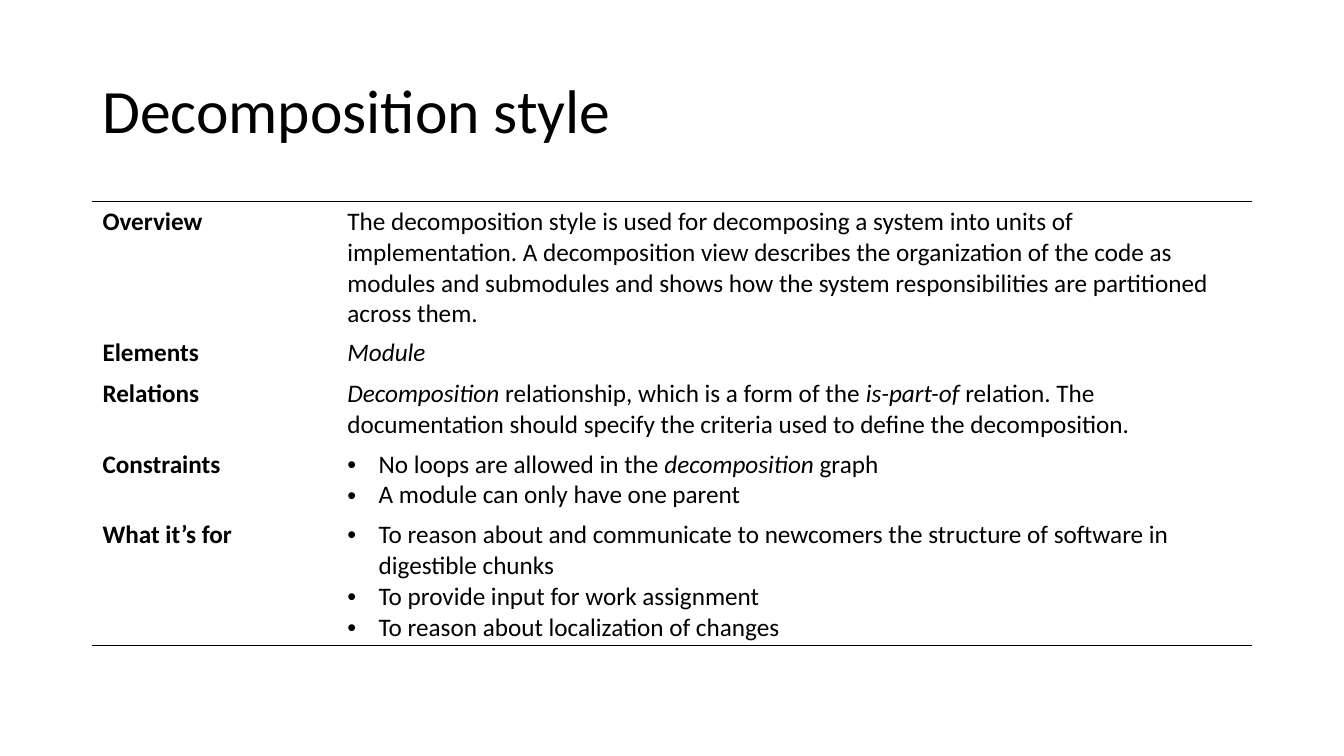
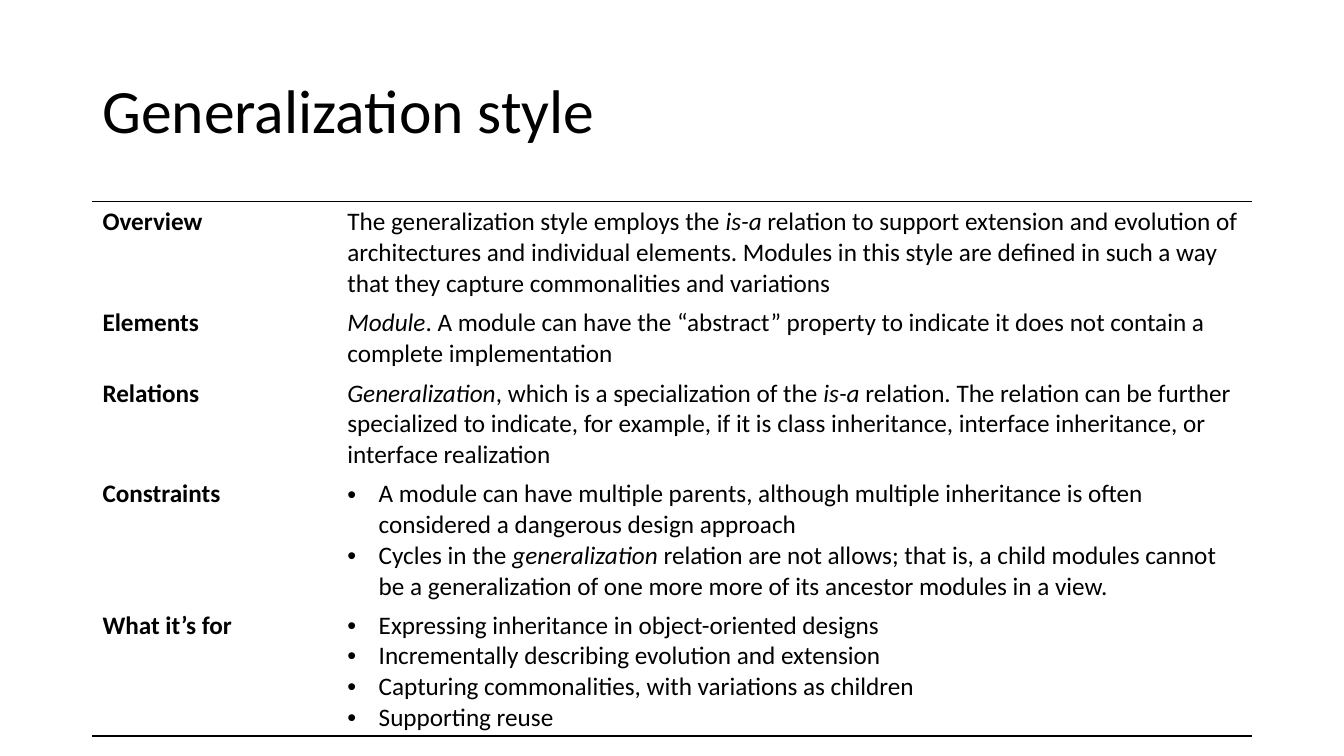
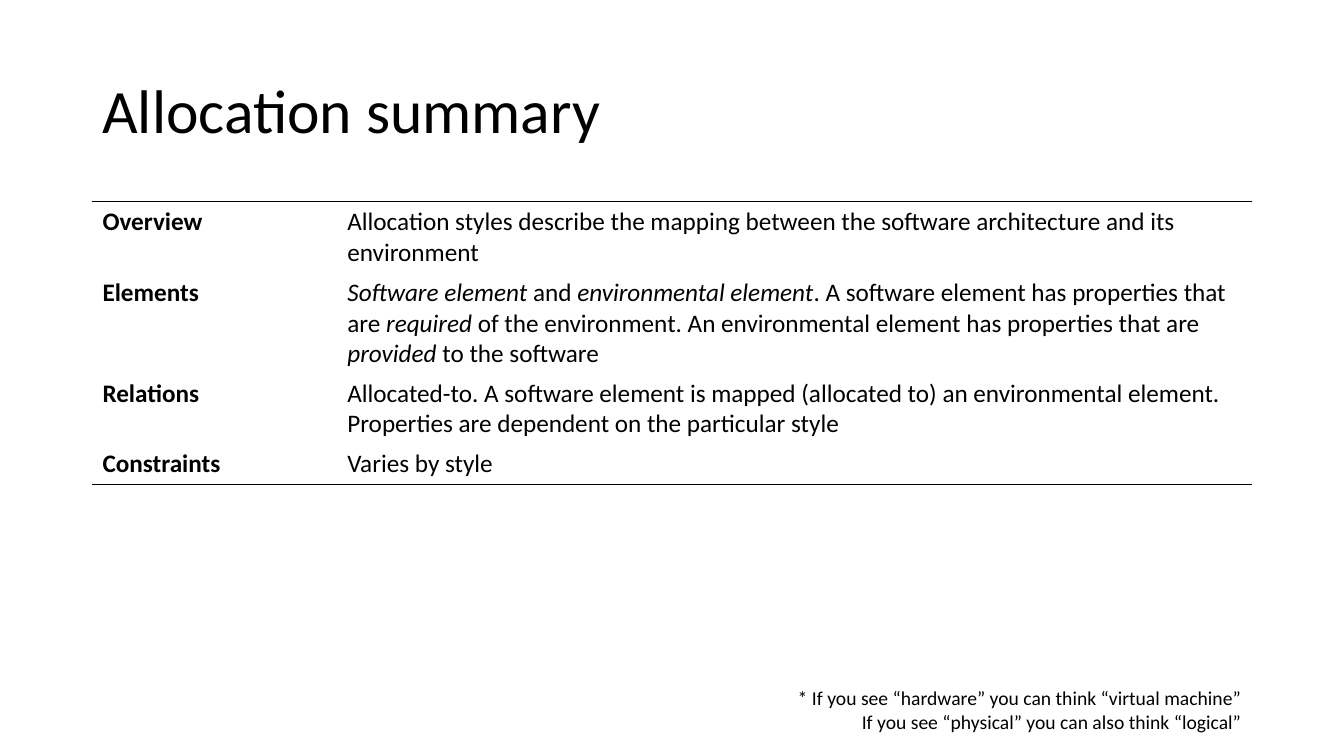
import pptx
import pptx.util
import pptx.dml.color
import pptx.enum.text
import pptx.oxml
import pptx.oxml.ns
import lxml.etree

Cm, Pt, qn = pptx.util.Cm, pptx.util.Pt, pptx.oxml.ns.qn
ALIGN, ANCHOR = pptx.enum.text.PP_ALIGN, pptx.enum.text.MSO_ANCHOR
FONT, INK = "Calibri", "000000"
LEFT, WIDTH = 2.33, 29.21
TITLE_BOX = (LEFT, 1.01, WIDTH, 3.68)
TABLE_BOX = (LEFT, 5.08, WIDTH, 1.03)
NOTE_BOX = (14.05, 17.17, 17.49, 1.45)
LABEL_WIDTH = 6.17
INDENT = Cm(0.79)
PLAIN_TABLE = "{2D5ABB26-0587-4C30-8999-92F81FD0307C}"

SLIDES = [
    ("Decomposition style", [
        ("Overview", "The decomposition style is used for decomposing a system into units of "
         "implementation. A decomposition view describes the organization of the code as modules "
         "and submodules and shows how the system responsibilities are partitioned across them."),
        ("Elements", "|Module|"),
        ("Relations", "|Decomposition| relationship, which is a form of the |is-part-of| relation. "
         "The documentation should specify the criteria used to define the decomposition."),
        ("Constraints", ["No loops are allowed in the |decomposition| graph",
                         "A module can only have one parent"]),
        ("What it’s for", ["To reason about and communicate to newcomers the structure of "
                           "software in digestible chunks",
                           "To provide input for work assignment",
                           "To reason about localization of changes"]),
    ], ""),
    ("Generalization style", [
        ("Overview", "The generalization style employs the |is-a| relation to support extension "
         "and evolution of architectures and individual elements. Modules in this style are "
         "defined in such a way that they capture commonalities and variations"),
        ("Elements", "|Module|. A module can have the “abstract” property to indicate it does "
         "not contain a complete implementation"),
        ("Relations", "|Generalization|, which is a specialization of the |is-a| relation. The "
         "relation can be further specialized to indicate, for example, if it is class "
         "inheritance, interface inheritance, or interface realization"),
        ("Constraints", ["A module can have multiple parents, although multiple inheritance is "
                         "often considered a dangerous design approach",
                         "Cycles in the |generalization| relation are not allows; that is, a "
                         "child modules cannot be a generalization of one more more of its "
                         "ancestor modules in a view."]),
        ("What it’s for", ["Expressing inheritance in object-oriented designs",
                           "Incrementally describing evolution and extension",
                           "Capturing commonalities, with variations as children",
                           "Supporting reuse"]),
    ], ""),
    ("Allocation summary", [
        ("Overview", "Allocation styles describe the mapping between the software architecture "
         "and its environment"),
        ("Elements", "|Software element |and |environmental element|. A software element has "
         "properties that are |required| of the environment. An environmental element has "
         "properties that are |provided| to the software"),
        ("Relations", "Allocated-to. A software element is mapped (allocated to) an "
         "environmental element. Properties are dependent on the particular style"),
        ("Constraints", "Varies by style"),
    ], "* If you see “hardware” you can think “virtual machine”\n"
       "If you see “physical” you can also think “logical”"),
]


def rgb(value):
    """Turn a hex string into a colour."""
    return pptx.dml.color.RGBColor.from_string(value)


def write(p, text, size, bold=False):
    """Fill a paragraph, with the parts between bars in italics."""
    for i, part in enumerate(text.split("|")):
        for j, line in enumerate(part.split("\n")):
            if j:
                p.add_line_break()
            if line:
                r = p.add_run()
                r.text = line
                font = {"name": FONT, "size": Pt(size), "bold": bold, "italic": i % 2 == 1}
                for key, value in font.items():
                    setattr(r.font, key, value)
                r.font.color.rgb = rgb(INK)


def add_bullet(p):
    """Give a paragraph a round bullet with a hanging indent."""
    pPr = p._p.get_or_add_pPr()
    pPr.set("marL", str(INDENT))
    pPr.set("indent", str(-INDENT))
    lxml.etree.SubElement(pPr, qn("a:buFont")).set("typeface", "Arial")
    lxml.etree.SubElement(pPr, qn("a:buChar")).set("char", "•")


def add_rule(cell, side):
    """Draw a thin line on one side (T or B) of a cell."""
    ln = lxml.etree.Element(qn("a:ln" + side), w=str(Pt(1)))
    fill = lxml.etree.SubElement(ln, qn("a:solidFill"))
    lxml.etree.SubElement(fill, qn("a:srgbClr")).set("val", INK)
    cell._tc.get_or_add_tcPr().insert(0, ln)


def add_text(slide, box, text, size, frame, paragraph):
    """Place a text box with the given frame and paragraph formats."""
    tf = slide.shapes.add_textbox(*map(Cm, box)).text_frame
    p = tf.paragraphs[0]
    for target, formats in ((tf, frame), (p, paragraph)):
        for key, value in formats.items():
            setattr(target, key, value)
    write(p, text, size)


def add_summary(slide, box, rows):
    """Place a table of labels and descriptions between two rules."""
    left, top, width, row_height = box
    table = slide.shapes.add_table(len(rows), 2, Cm(left), Cm(top), Cm(width),
                                   Cm(row_height * len(rows))).table
    table.first_row = table.horz_banding = False
    table._tbl.tblPr.find(qn("a:tableStyleId")).text = PLAIN_TABLE
    for column, col_width in zip(table.columns, (LABEL_WIDTH, width - LABEL_WIDTH)):
        column.width = Cm(col_width)
    for i, row in enumerate(rows):
        for j, content in enumerate(row):
            cell = table.cell(i, j)
            cell.fill.background()
            tf = cell.text_frame
            bulleted = isinstance(content, list)
            for k, text in enumerate(content if bulleted else [content]):
                p = tf.add_paragraph() if k else tf.paragraphs[0]
                if bulleted:
                    add_bullet(p)
                write(p, text, 18, bold=j == 0)
            if i == 0:
                add_rule(cell, "T")
            if i == len(rows) - 1:
                add_rule(cell, "B")


def add_style_slide(prs, title, rows, note):
    """Add a slide with a title, a summary table and an optional note."""
    slide = prs.slides.add_slide(prs.slide_layouts[6])
    add_text(slide, TITLE_BOX, title, 44,
             {"word_wrap": True, "vertical_anchor": ANCHOR.MIDDLE}, {"line_spacing": 0.9})
    add_summary(slide, TABLE_BOX, rows)
    if note:
        add_text(slide, NOTE_BOX, note, 14,
                 {"word_wrap": True, "auto_size": pptx.enum.text.MSO_AUTO_SIZE.SHAPE_TO_FIT_TEXT},
                 {"alignment": ALIGN.RIGHT})


prs = pptx.Presentation()
prs.slide_width, prs.slide_height = Cm(33.87), Cm(19.05)
for title, rows, note in SLIDES:
    add_style_slide(prs, title, rows, note)
prs.save("out.pptx")
